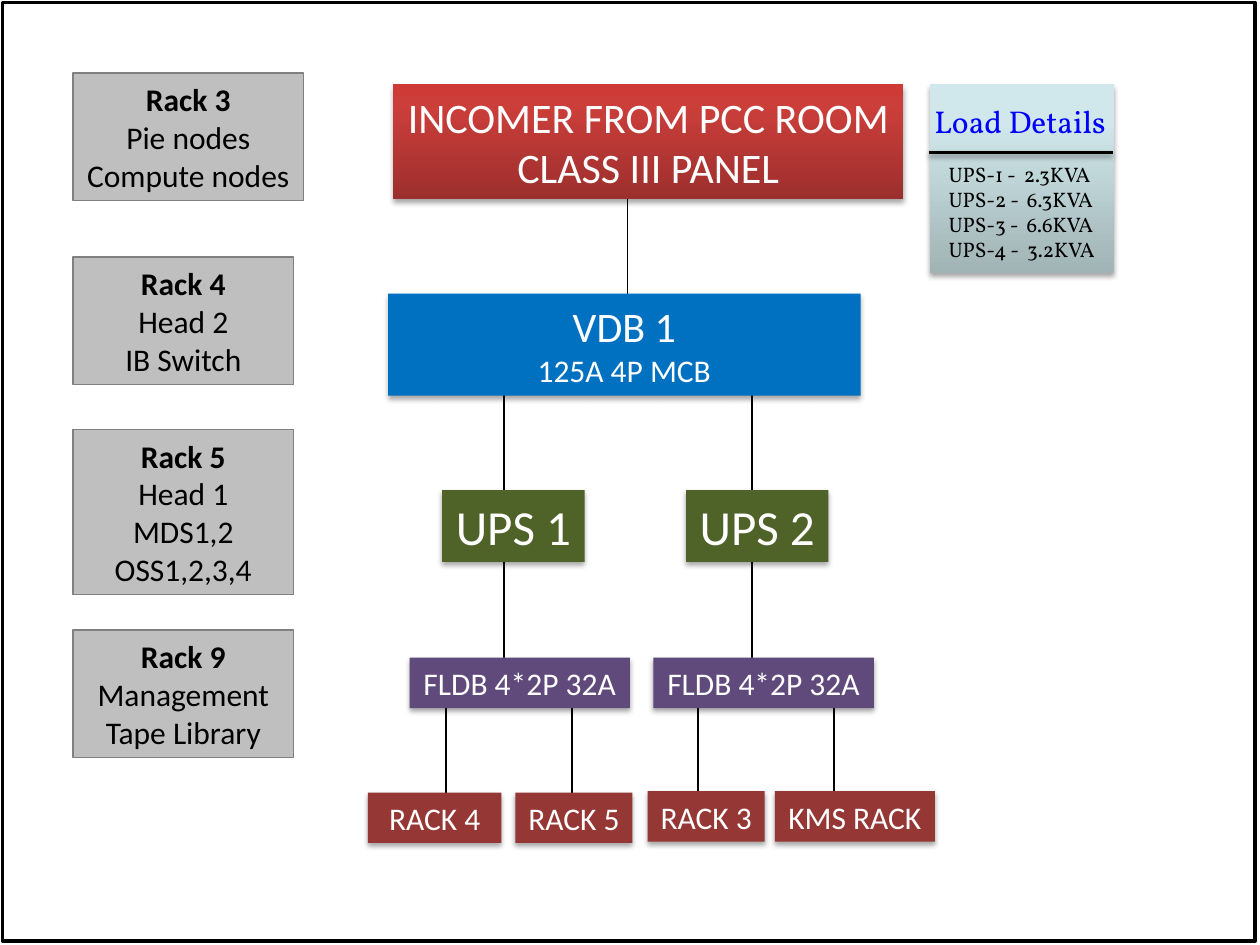
import copy
from dataclasses import dataclass

import pptx
import pptx.dml.color
import pptx.enum.shapes
import pptx.enum.text
import pptx.oxml
import pptx.oxml.ns
import pptx.util

# The slide is a grid of 100 columns and 75 rows
COLS, ROWS = 100, 75
CELL = pptx.util.Inches(10) // COLS


@dataclass(frozen=True)
class Theme:
    sans: str = "Calibri"
    serif: str = "Vollkorn"
    huge: int = 28
    big: int = 24
    mid: int = 18
    small: int = 12
    ink: str = "000000"
    pale: str = "FFFFFF"
    link: str = "0000FF"
    main: tuple = ((0, "9C2F2D"), (0.8, "CB3E3A"), (1, "CE3B37"))
    note: tuple = ((0, "A0B3B5"), (0.8, "D0E8EB"), (1, "D1EAEC"))
    board: str = "0070C0"
    ups: str = "4F6228"
    feed: str = "604A7B"
    rack: str = "953735"
    side: str = "BFBFBF"
    edge: str = "808080"


THEME = Theme()


def grid(*cells):
    return [round(cell * CELL) for cell in cells]


def tint(code):
    return pptx.dml.color.RGBColor.from_string(code)


def shade(item, alpha=35, drop=1.8):
    """Put a soft shadow below a shape or a line; alpha 0 gives none."""
    props = item._element.spPr
    for old in props.findall(pptx.oxml.ns.qn("a:effectLst")):
        props.remove(old)
    blur, dist = pptx.util.Pt(3.1), pptx.util.Pt(drop)
    cast = (f'<a:outerShdw blurRad="{blur}" dist="{dist}" dir="5400000" rotWithShape="0">'
            f'<a:srgbClr val="000000"><a:alpha val="{alpha * 1000}"/></a:srgbClr>'
            '</a:outerShdw>') if alpha else ""
    space = pptx.oxml.ns.nsdecls("a")
    props.append(pptx.oxml.parse_xml(f"<a:effectLst {space}>{cast}</a:effectLst>"))


def blend(fill, stops):
    """Fill from the bottom up through any number of colour stops."""
    fill.gradient()
    fill.gradient_angle = 90
    marks = fill.gradient_stops[0]._gs.getparent()
    while len(marks) < len(stops):
        marks.append(copy.deepcopy(marks[0]))
    for mark, (place, code) in zip(fill.gradient_stops, stops):
        mark.position = place
        mark.color.rgb = tint(code)


def write(shape, text, sizes=(THEME.mid,), font=THEME.sans, color=THEME.pale,
          align="CENTER", head=False, wrap=False):
    """Write one paragraph a line; the last size holds for all later lines."""
    frame = shape.text_frame
    frame.text = text
    frame.word_wrap = wrap
    frame.auto_size = pptx.enum.text.MSO_AUTO_SIZE.SHAPE_TO_FIT_TEXT
    for row, para in enumerate(frame.paragraphs):
        para.alignment = getattr(pptx.enum.text.PP_ALIGN, align)
        face = para.runs[0].font
        face.name = font
        face.size = pptx.util.Pt(sizes[min(row, len(sizes) - 1)])
        face.color.rgb = tint(color)
        face.bold = head and row == 0


def box(slide, at, fill=None, edge=None, width=0.75, alpha=35):
    """Draw a rectangle with a plain, blended or empty fill."""
    rect = pptx.enum.shapes.MSO_SHAPE.RECTANGLE
    shape = slide.shapes.add_shape(rect, *grid(*at))
    if fill is None:
        shape.fill.background()
    elif isinstance(fill, str):
        shape.fill.solid()
        shape.fill.fore_color.rgb = tint(fill)
    else:
        blend(shape.fill, fill)
    if edge:
        shape.line.color.rgb = tint(edge)
        shape.line.width = pptx.util.Pt(width)
    else:
        shape.line.fill.background()
    shape.shadow.inherit = False
    shade(shape, alpha)
    return shape


def wire(slide, start, end, width=1, alpha=0):
    kind = pptx.enum.shapes.MSO_CONNECTOR.STRAIGHT
    line = slide.shapes.add_connector(kind, *grid(*start, *end))
    line.line.color.rgb = tint(THEME.ink)
    line.line.width = pptx.util.Pt(width)
    shade(line, alpha, 1.6)


def label(slide, at, text, **style):
    write(slide.shapes.add_textbox(*grid(*at)), text, font=THEME.serif, **style)


def power(slide):
    # Wires first, so that the boxes cover their ends
    for col, top, low in [(59.7, 30.7, 52.7), (66.2, 55.8, 66), (55.4, 54.2, 64.3),
                          (45.4, 55, 65.1), (35.4, 55, 65.1), (40, 30.8, 52.8),
                          (49.8, 12.2, 25.6)]:
        wire(slide, (col, top), (col, low))

    # Incoming supply and main board
    write(box(slide, (31.2, 6.7, 40.5, 9.1), THEME.main),
          "INCOMER FROM PCC ROOM\nCLASS III PANEL", sizes=(THEME.big,))
    write(box(slide, (30.8, 23.3, 37.5, 8.1), THEME.board),
          "VDB 1\n125A 4P MCB", sizes=(THEME.big, THEME.mid), wrap=True)

    # Two equal branches
    for num in range(2):
        shift = num * 19.35
        write(box(slide, (35.1 + shift, 38.9, 11.3, 5.7), THEME.ups),
              f"UPS {num + 1}", sizes=(THEME.huge,))
        write(box(slide, (32.5 + shift, 52.2, 17.5, 4), THEME.feed), "FLDB 4*2P 32A")

    # Racks at the foot
    for text, left, top, width in [("RACK 4", 29.2, 62.9, 10.6), ("RACK 5", 40.9, 62.9, 9.3),
                                   ("RACK 3", 51.4, 62.8, 9.3), ("KMS RACK", 61.5, 62.8, 12.7)]:
        write(box(slide, (left, top, width, 4), THEME.rack), text)


def loads(slide):
    box(slide, (73.8, 6.7, 14.6, 15), THEME.note)
    values = [2.3, 6.3, 6.6, 3.2]
    text = "\n".join(f"UPS-{num} -  {load}KVA" for num, load in enumerate(values, 1))
    label(slide, (74.3, 12.3, 14.3, 9.1), text, sizes=(THEME.small,),
          color=THEME.ink, align="LEFT")
    label(slide, (72.7, 7.6, 16.5, 4), "Load Details", color=THEME.link)
    wire(slide, (73.7, 12.1), (88.3, 12.1), width=2, alpha=38)


def racks(slide):
    for text, top, width, high in [
            ("Rack 3\nPie nodes\nCompute nodes", 5.8, 18.3, 10.1),
            ("Rack 4\nHead 2\nIB Switch", 20.4, 17.5, 10.1),
            ("Rack 5\nHead 1\nMDS1,2\nOSS1,2,3,4", 34.1, 17.5, 13.1),
            ("Rack 9\nManagement\nTape Library", 50, 17.5, 10.1)]:
        card = box(slide, (5.8, top, width, high), THEME.side, THEME.edge, alpha=0)
        write(card, text, color=THEME.ink, head=True)


def main():
    deck = pptx.Presentation()
    deck.slide_width, deck.slide_height = grid(COLS, ROWS)
    slide = deck.slides.add_slide(deck.slide_layouts[6])
    power(slide)
    loads(slide)
    racks(slide)
    # Frame round the slide
    box(slide, (0.2, 0.2, COLS - 0.6, ROWS - 0.5), edge=THEME.ink, width=2, alpha=0)
    deck.save("out.pptx")


if __name__ == "__main__":
    main()
